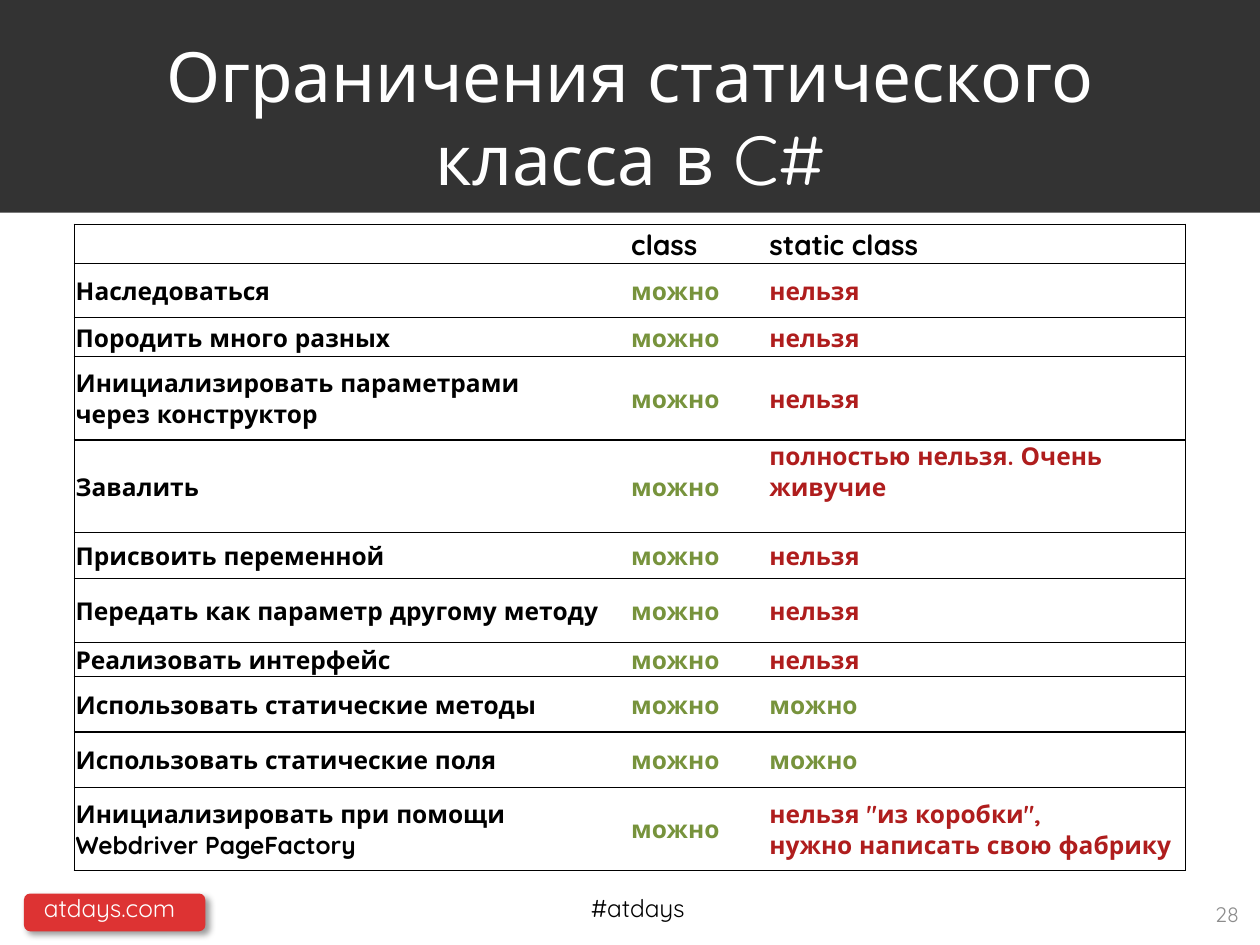
from lxml import etree
from pptx import Presentation
from pptx.dml.color import RGBColor
from pptx.enum.shapes import MSO_SHAPE
from pptx.enum.text import MSO_ANCHOR, PP_ALIGN
from pptx.oxml.ns import qn
from pptx.util import Pt

RECTANGLE = MSO_SHAPE.RECTANGLE
ROUNDED = MSO_SHAPE.ROUNDED_RECTANGLE
TOP, MIDDLE = MSO_ANCHOR.TOP, MSO_ANCHOR.MIDDLE
LEFT, CENTER, RIGHT = PP_ALIGN.LEFT, PP_ALIGN.CENTER, PP_ALIGN.RIGHT

FONT = "Quicksand"
BLACK, WHITE, GREEN, RED = "000000", "FFFFFF", "77933C", "AF1D1D"
ALLOWED, FORBIDDEN = "можно", "нельзя"
COLUMN_WIDTHS = [317.5, 79, 238.5]
ROWS = [
    (21, "", "class", "static class"),
    (31, "Наследоваться", ALLOWED, FORBIDDEN),
    (22.3, "Породить много разных", ALLOWED, FORBIDDEN),
    (47.5, "Инициализировать параметрами\vчерез конструктор", ALLOWED, FORBIDDEN),
    (53, "Завалить", ALLOWED, "полностью нельзя. Очень живучие"),
    (26.2, "Присвоить переменной", ALLOWED, FORBIDDEN),
    (36.7, "Передать как параметр другому методу", ALLOWED, FORBIDDEN),
    (19.5, "Реализовать интерфейс", ALLOWED, FORBIDDEN),
    (31.7, "Использовать статические методы", ALLOWED, ALLOWED),
    (31.7, "Использовать статические поля", ALLOWED, ALLOWED),
    (47.5, "Инициализировать при помощи Webdriver PageFactory", ALLOWED,
     "нельзя \"из коробки\",\vнужно написать свою фабрику"),
]


def color(value):
    return RGBColor.from_string(value)


def write(frame, text, size=14, fill=BLACK, bold=False, align=LEFT, anchor=TOP, spacing=None):
    frame.word_wrap = True
    frame.vertical_anchor = anchor
    para = frame.paragraphs[0]
    para.alignment = align
    if spacing:
        para.line_spacing = spacing
    para.text = text
    for span in para.runs or [para.add_run()]:
        span.font.name = FONT
        span.font.size = Pt(size)
        span.font.bold = bold
        span.font.color.rgb = color(fill)


def add_text(page, box, text, **style):
    shape = page.shapes.add_textbox(*map(Pt, box))
    write(shape.text_frame, text, **style)


def add_block(page, kind, box, fill):
    shape = page.shapes.add_shape(kind, *map(Pt, box))
    shape.shadow.inherit = False
    shape.fill.solid()
    shape.fill.fore_color.rgb = color(fill)
    shape.line.fill.background()
    return shape


def add_shadow(shape):
    effects = shape._element.spPr.find(qn("a:effectLst"))
    shadow = etree.SubElement(effects, qn("a:outerShdw"), blurRad=str(Pt(4)),
                              dist=str(Pt(3)), dir="2700000", algn="tl", rotWithShape="0")
    tone = etree.SubElement(shadow, qn("a:srgbClr"), val=BLACK)
    etree.SubElement(tone, qn("a:alpha"), val="40000")


def add_borders(cell, sides):
    properties = cell._tc.get_or_add_tcPr()
    for index, side in enumerate(("L", "R", "T", "B")):
        line = etree.Element(qn(f"a:ln{side}"), w=str(Pt(1)))
        if side in sides:
            paint = etree.SubElement(line, qn("a:solidFill"))
            etree.SubElement(paint, qn("a:srgbClr"), val=BLACK)
        else:
            etree.SubElement(line, qn("a:noFill"))
        properties.insert(index, line)


def add_header(page, box):
    left, top, width, height = box
    add_block(page, RECTANGLE, box, "333333")
    add_text(page, (left + 36, top + 21.6, width - 72, height - 31.7),
             "Ограничения статического класса в C#", size=39.6, fill=WHITE,
             align=CENTER, anchor=MIDDLE)


def add_comparison(page, box):
    table = page.shapes.add_table(len(ROWS), len(COLUMN_WIDTHS), *map(Pt, box)).table
    table.first_row = False
    table.horz_banding = False
    for column, width in zip(table.columns, COLUMN_WIDTHS):
        column.width = Pt(width)
    tints = {ALLOWED: GREEN}
    for row_index, (height, *texts) in enumerate(ROWS):
        table.rows[row_index].height = Pt(height)
        for column_index, text in enumerate(texts):
            cell = table.cell(row_index, column_index)
            cell.margin_left = cell.margin_right = cell.margin_top = Pt(0.75)
            cell.margin_bottom = Pt(0)
            cell.fill.solid()
            cell.fill.fore_color.rgb = color(WHITE)
            is_label = row_index == 0 or column_index == 0
            write(cell.text_frame, text, size=14 if row_index else 16, bold=True,
                  fill=BLACK if is_label else tints.get(text, RED))
            cell.vertical_anchor = TOP if text.startswith("полностью") else MIDDLE
            add_borders(cell, ("LTB", "TB", "RTB")[column_index])


def add_footer(page, box):
    left, top, width, height = box
    badge = add_block(page, ROUNDED, (left + 13.7, top + 3.6, 103.7, 21.6), "DD3333")
    add_shadow(badge)
    add_text(page, (left + 18, top, 128, 24.5), "atdays.com", fill=WHITE)
    add_text(page, (left + 315, top, 99, 24.5), "#atdays", align=CENTER)
    add_text(page, (left + width - 173, top + 0.7, 168, height), "28", size=12,
             fill="8C8C8C", align=RIGHT, anchor=MIDDLE)


def main():
    deck = Presentation()
    deck.slide_width, deck.slide_height = Pt(720), Pt(540)
    page = deck.slides.add_slide(deck.slide_layouts[6])
    add_header(page, (0, 0, 720, 121.5))
    add_comparison(page, (42.5, 128.2, sum(COLUMN_WIDTHS), sum(row[0] for row in ROWS)))
    add_footer(page, (0, 507, 720, 28.8))
    deck.save("out.pptx")


if __name__ == "__main__":
    main()
